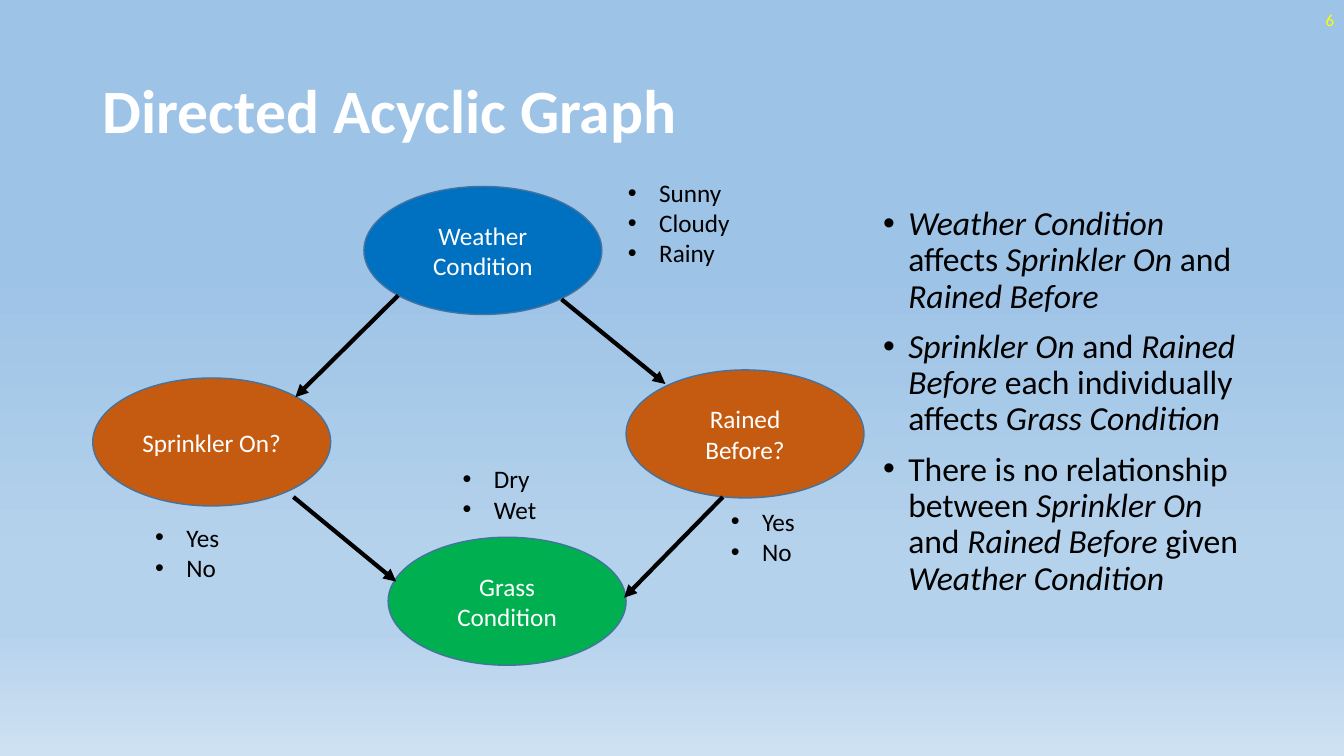
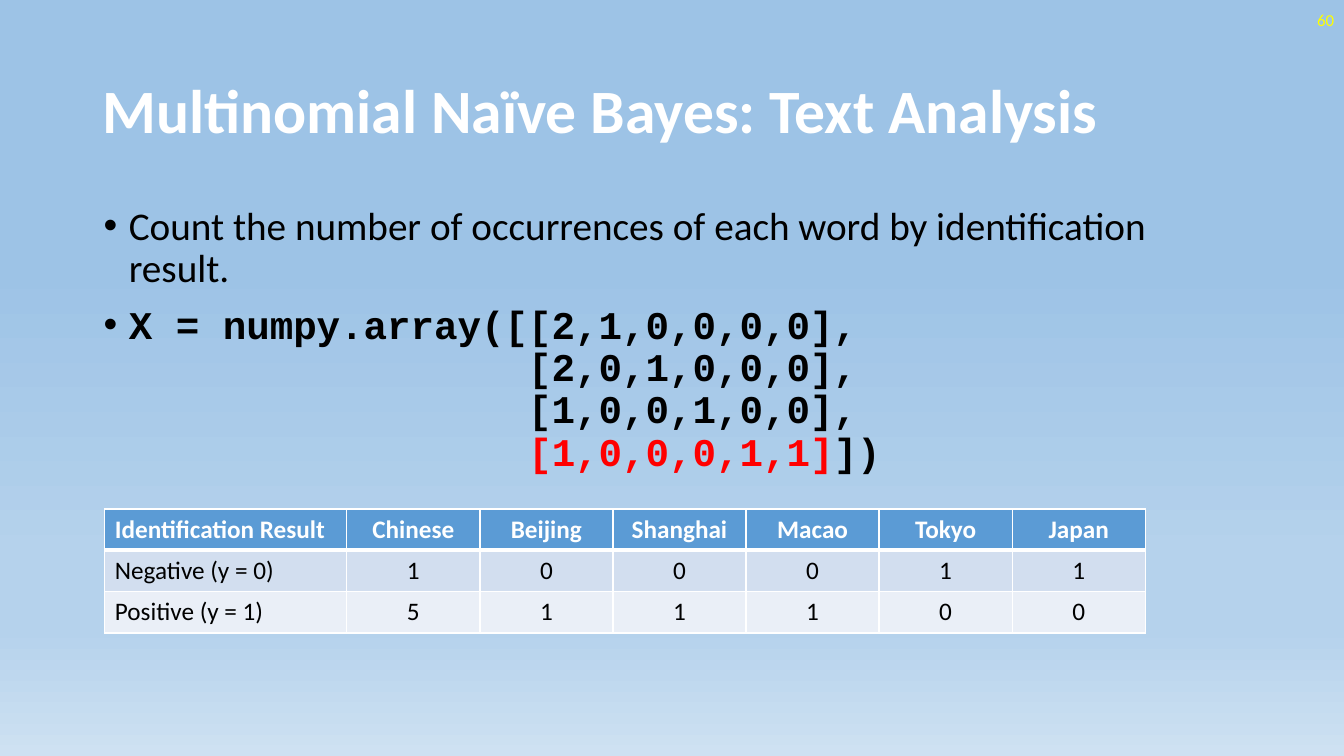
from dataclasses import dataclass
from typing import NamedTuple, Optional, Sequence

from lxml.etree import SubElement
from pptx import Presentation
from pptx.dml.color import RGBColor
from pptx.enum.shapes import MSO_CONNECTOR as Connector, MSO_SHAPE as Shape
from pptx.enum.text import MSO_ANCHOR as Anchor, PP_ALIGN as Align
from pptx.oxml.ns import qn
from pptx.util import Inches, Pt


@dataclass(frozen=True)
class Theme:
    font: str = "Calibri"
    code_font: str = "Courier New"
    title_size: int = 44
    body_size: int = 28
    side_size: int = 24
    label_size: int = 18
    number_size: int = 12
    white: str = "FFFFFF"
    black: str = "000000"
    number: str = "FFFF00"
    highlight: str = "FF0000"
    outline: str = "43739E"
    weather: str = "0070C0"
    cause: str = "C55A11"
    grass: str = "00B050"
    header: str = "5B9BD5"
    bands: tuple = ("D2DEEF", "EAEFF7")
    background: tuple = ((35, "9DC3E6"), (74, "B5D2EC"), (83, "B5D2EC"), (100, "CEE1F2"))


THEME = Theme()


class Box(NamedTuple):
    left: float
    top: float
    width: float
    height: float

    def lengths(self) -> list:
        return [Inches(value) for value in self]


class Run(NamedTuple):
    text: str
    italic: bool = False
    bold: bool = False
    color: str = THEME.black
    font: str = THEME.font


@dataclass(frozen=True)
class Style:
    size: int
    align: Align = Align.LEFT
    anchor: Anchor = Anchor.TOP
    indent: float = 0
    line_spacing: float = 1.0
    space_before: int = 0


@dataclass(frozen=True)
class Node:
    label: str
    left: float
    top: float
    fill: str
    states: tuple
    states_box: Box


class Arrow(NamedTuple):
    start: tuple
    end: tuple


TITLE_BOX = Box(0.92, 0.4, 11.5, 1.45)
NUMBER_BOX = Box(10.33, 0, 3, 0.4)
TITLE_STYLE = Style(THEME.title_size, anchor=Anchor.MIDDLE, line_spacing=0.9)
NUMBER_STYLE = Style(THEME.number_size, align=Align.RIGHT, anchor=Anchor.MIDDLE)
LABEL_STYLE = Style(THEME.label_size, align=Align.CENTER, anchor=Anchor.MIDDLE)
CELL_STYLE = Style(THEME.label_size, anchor=Anchor.MIDDLE)
STATE_STYLE = Style(THEME.label_size, indent=0.31)
SIDE_STYLE = Style(THEME.side_size, indent=0.25, line_spacing=0.9, space_before=10)
BODY_STYLE = Style(THEME.body_size, indent=0.25, line_spacing=0.9, space_before=10)

NODE_WIDTH, NODE_HEIGHT = 2.36, 1.27
NODES = (
    Node("Weather Condition", 3.61, 1.85, THEME.weather,
         ("Sunny", "Cloudy", "Rainy"), Box(6.13, 1.71, 1.24, 1.01)),
    Node("Rained Before?", 6.21, 3.67, THEME.cause,
         ("Yes", "No"), Box(7.15, 4.97, 1.24, 0.71)),
    Node("Sprinkler On?", 0.92, 3.75, THEME.cause,
         ("Yes", "No"), Box(1.44, 5.13, 1.24, 0.71)),
    Node("Grass Condition", 3.85, 5.33, THEME.grass,
         ("Dry", "Wet"), Box(4.49, 4.55, 1.24, 0.71)),
)
ARROWS = (
    Arrow((3.95, 2.93), (2.93, 3.94)),
    Arrow((7.17, 4.93), (6.19, 5.93)),
    Arrow((5.57, 2.97), (6.6, 3.81)),
    Arrow((2.91, 4.93), (3.93, 5.77)),
)

WEATHER = Run("Weather Condition", italic=True)
SPRINKLER = Run("Sprinkler On", italic=True)
RAINED = Run("Rained Before", italic=True)
GRASS = Run("Grass Condition", italic=True)
AND = Run(" and ")
FINDINGS = (
    (WEATHER, Run(" affects "), SPRINKLER, AND, RAINED),
    (SPRINKLER, AND, RAINED, Run(" each individually affects "), GRASS),
    (Run("There is no relationship between "), SPRINKLER, AND, RAINED,
     Run(" given "), WEATHER),
)

COUNTS = (
    ("Identification Result", "Chinese", "Beijing", "Shanghai", "Macao", "Tokyo", "Japan"),
    ("Negative (y = 0)", "1", "0", "0", "0", "1", "1"),
    ("Positive (y = 1)", "5", "1", "1", "1", "0", "0"),
)
FIRST_COLUMN, COUNT_COLUMN, ROW_HEIGHT = 2.4, 1.32, 0.41


def rgb(color: str) -> RGBColor:
    return RGBColor.from_string(color)


def add_run(paragraph, run: Run, size: int) -> None:
    for index, line in enumerate(run.text.split("\n")):
        if index:
            paragraph.add_line_break()
        piece = paragraph.add_run()
        piece.text = line
        font = piece.font
        font.name, font.size = run.font, Pt(size)
        font.bold, font.italic = run.bold, run.italic
        font.color.rgb = rgb(run.color)


def add_bullet(paragraph, indent: float) -> None:
    properties = paragraph._p.get_or_add_pPr()
    properties.set("marL", str(Inches(indent)))
    properties.set("indent", str(-Inches(indent)))
    SubElement(properties, qn("a:buFont"), typeface="Arial")
    SubElement(properties, qn("a:buChar"), char="•")


def write(frame, paragraphs: Sequence[Sequence[Run]], style: Style) -> None:
    frame.word_wrap = True
    frame.vertical_anchor = style.anchor
    for index, runs in enumerate(paragraphs):
        paragraph = frame.add_paragraph() if index else frame.paragraphs[0]
        if style.indent:
            add_bullet(paragraph, style.indent)
        paragraph.alignment = style.align
        paragraph.line_spacing = style.line_spacing
        paragraph.space_before = Pt(style.space_before if index else 0)
        for run in runs:
            add_run(paragraph, run, style.size)


def add_text(slide, box: Box, paragraphs: Sequence[Sequence[Run]], style: Style) -> None:
    write(slide.shapes.add_textbox(*box.lengths()).text_frame, paragraphs, style)


def set_background(master) -> None:
    fill = master.background.fill
    fill.gradient()
    fill.gradient_angle = 270
    stops = next(master.element.iter(qn("a:gsLst")))
    for stop in list(stops):
        stops.remove(stop)
    for position, color in THEME.background:
        stop = SubElement(stops, qn("a:gs"), pos=str(position * 1000))
        SubElement(stop, qn("a:srgbClr"), val=color)


def add_slide(presentation, title: str, number: int):
    slide = presentation.slides.add_slide(presentation.slide_layouts[6])
    add_text(slide, TITLE_BOX, [[Run(title, bold=True, color=THEME.white)]], TITLE_STYLE)
    add_text(slide, NUMBER_BOX, [[Run(str(number), color=THEME.number)]], NUMBER_STYLE)
    return slide


def add_node(slide, node: Node) -> None:
    box = Box(node.left, node.top, NODE_WIDTH, NODE_HEIGHT)
    shape = slide.shapes.add_shape(Shape.OVAL, *box.lengths())
    shape.shadow.inherit = False
    shape.fill.solid()
    shape.fill.fore_color.rgb = rgb(node.fill)
    shape.line.color.rgb = rgb(THEME.outline)
    shape.line.width = Pt(1)
    write(shape.text_frame, [[Run(node.label, color=THEME.white)]], LABEL_STYLE)


def add_arrow(slide, arrow: Arrow) -> None:
    ends = [Inches(value) for value in arrow.start + arrow.end]
    connector = slide.shapes.add_connector(Connector.STRAIGHT, *ends)
    connector.line.color.rgb = rgb(THEME.black)
    connector.line.width = Pt(3)
    SubElement(connector.line._get_or_add_ln(), qn("a:tailEnd"), type="triangle")
    SubElement(connector._element.spPr, qn("a:effectLst"))


def add_borders(cell, bottom_width: Optional[int] = None) -> None:
    properties = cell._tc.get_or_add_tcPr()
    for side in "LRTB":
        width = bottom_width if side == "B" and bottom_width else 1
        line = SubElement(properties, qn(f"a:ln{side}"), w=str(Pt(width)))
        fill = SubElement(line, qn("a:solidFill"))
        SubElement(fill, qn("a:srgbClr"), val=THEME.white)


def add_counts_table(slide, left: float, top: float) -> None:
    widths = [FIRST_COLUMN] + [COUNT_COLUMN] * (len(COUNTS[0]) - 1)
    box = Box(left, top, sum(widths), ROW_HEIGHT * len(COUNTS))
    table = slide.shapes.add_table(len(COUNTS), len(widths), *box.lengths()).table
    for column, width in zip(table.columns, widths):
        column.width = Inches(width)
    for row_index, values in enumerate(COUNTS):
        table.rows[row_index].height = Inches(ROW_HEIGHT)
        header = row_index == 0
        fill = THEME.header if header else THEME.bands[row_index - 1]
        color = THEME.white if header else THEME.black
        for column_index, value in enumerate(values):
            cell = table.cell(row_index, column_index)
            add_borders(cell, 3 if header else None)
            cell.fill.solid()
            cell.fill.fore_color.rgb = rgb(fill)
            cell.vertical_anchor = Anchor.MIDDLE
            style = LABEL_STYLE if column_index else CELL_STYLE
            write(cell.text_frame, [[Run(value, bold=header, color=color)]], style)


def build_graph_slide(presentation) -> None:
    slide = add_slide(presentation, "Directed Acyclic Graph", 6)
    for node in NODES:
        add_node(slide, node)
        add_text(slide, node.states_box, [[Run(state)] for state in node.states], STATE_STYLE)
    for arrow in ARROWS:
        add_arrow(slide, arrow)
    add_text(slide, Box(8.66, 2, 3.75, 4.76), FINDINGS, SIDE_STYLE)


def build_text_analysis_slide(presentation) -> None:
    slide = add_slide(presentation, "Multinomial Naïve Bayes: Text Analysis", 60)
    opening = "X = numpy.array(["
    margin = "\n" + " " * len(opening)
    rows = ("[2,1,0,0,0,0],", "[2,0,1,0,0,0],", "[1,0,0,1,0,0],", "")
    code = Run(opening + margin.join(rows), bold=True, font=THEME.code_font)
    last_row = code._replace(text="[1,0,0,0,1,1]", color=THEME.highlight)
    closing = code._replace(text="])")
    sentence = Run("Count the number of occurrences of each word by identification result.")
    add_text(slide, Box(0.93, 2, 11.5, 4.76),
             [[sentence], [code, last_row, closing]], BODY_STYLE)
    add_counts_table(slide, 1.04, 5.05)


def main() -> None:
    presentation = Presentation()
    presentation.slide_width, presentation.slide_height = Inches(13.33), Inches(7.5)
    set_background(presentation.slide_master)
    build_graph_slide(presentation)
    build_text_analysis_slide(presentation)
    presentation.save("out.pptx")


if __name__ == "__main__":
    main()
